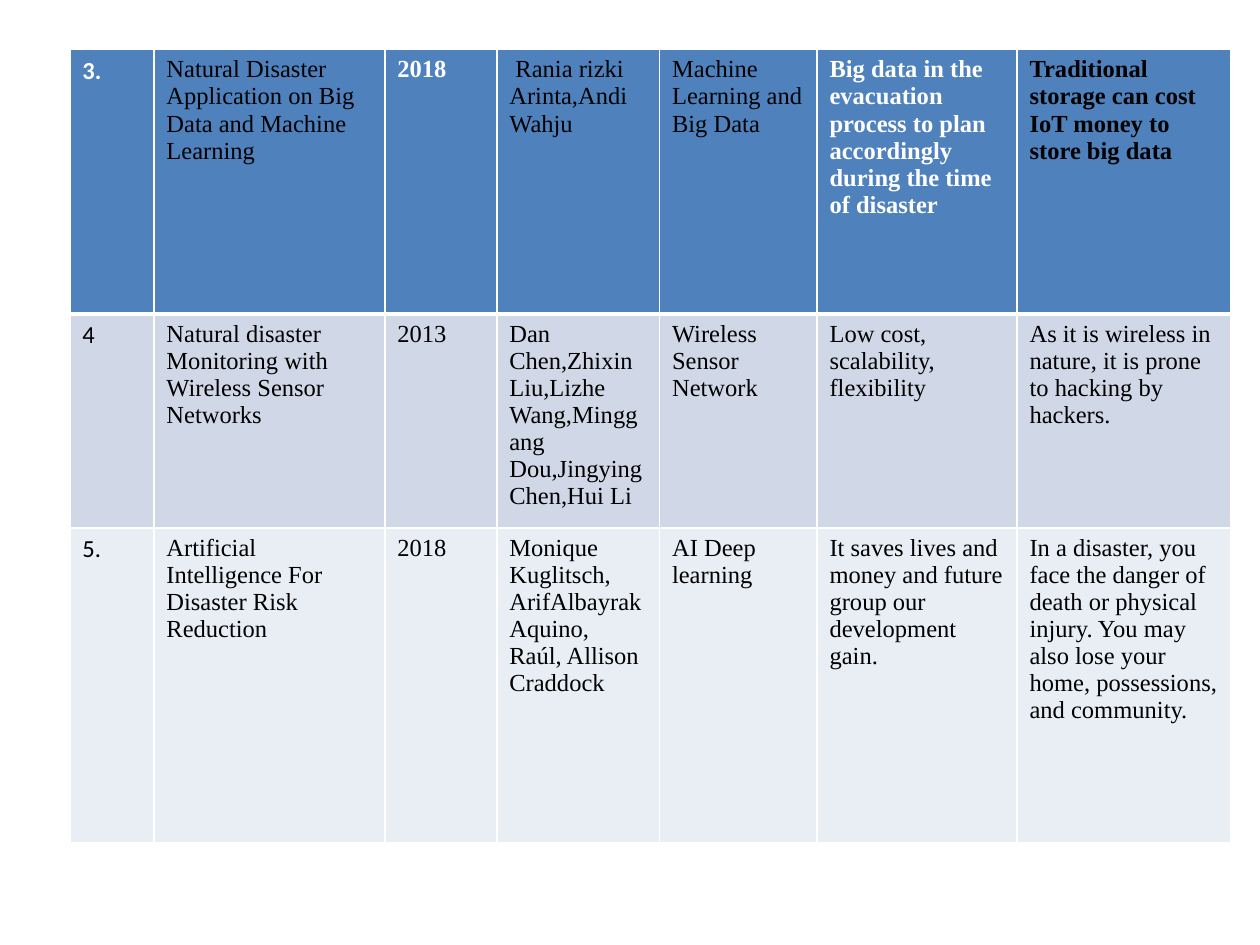
from dataclasses import dataclass

from lxml.etree import SubElement
from pptx import Presentation
from pptx.dml.color import RGBColor
from pptx.oxml.ns import qn
from pptx.table import _Cell as Cell
from pptx.util import Pt

WHITE, BLACK = "FFFFFF", "000000"
SERIF, SANS = "Times New Roman", "Calibri"
TEXT_SIZE = 14
TABLE_LEFT, TABLE_TOP = 39.9, 28.4
COLUMN_WIDTHS = [48, 132, 64, 93, 90, 114.3, 122.2]
ROW_HEIGHTS = [151, 122.4, 180]


@dataclass(frozen=True)
class Entry:
    text: str
    color: str = BLACK
    bold: bool = False
    font: str = SERIF


@dataclass(frozen=True)
class Study:
    fill: str
    bottom_border: float
    entries: list[Entry]


STUDIES = [
    Study("4F81BD", 3, [
        Entry("3.", WHITE, True, SANS),
        Entry("Natural Disaster Application on Big Data and Machine Learning"),
        Entry("2018", WHITE, True),
        Entry(" Rania rizki Arinta,Andi Wahju"),
        Entry("Machine Learning and Big Data"),
        Entry("Big data in the evacuation process to plan accordingly "
              "during the time of disaster", WHITE, True),
        Entry("Traditional storage can cost IoT money to store big data", bold=True),
    ]),
    Study("D0D8E8", 1, [
        Entry("4", font=SANS),
        Entry("Natural disaster Monitoring with Wireless Sensor Networks"),
        Entry("2013"),
        Entry("Dan Chen,Zhixin Liu,Lizhe Wang,Minggang Dou,Jingying Chen,Hui Li"),
        Entry("Wireless Sensor Network"),
        Entry("Low cost, scalability, flexibility"),
        Entry("As it is wireless in nature, it is prone to hacking by hackers."),
    ]),
    Study("E9EDF4", 1, [
        Entry("5.", font=SANS),
        Entry("Artificial Intelligence For Disaster Risk Reduction"),
        Entry("2018"),
        Entry("Monique Kuglitsch, ArifAlbayrak Aquino, Raúl, Allison Craddock"),
        Entry("AI Deep learning"),
        Entry("It saves lives and money and future group our development gain."),
        Entry("In a disaster, you face the danger of death or physical injury. "
              "You may also lose your home, possessions, and community."),
    ]),
]


def rgb(color: str) -> RGBColor:
    return RGBColor.from_string(color)


def set_borders(cell: Cell, top: float, bottom: float) -> None:
    properties = cell._tc.get_or_add_tcPr()
    widths = {"a:lnL": 1, "a:lnR": 1, "a:lnT": top, "a:lnB": bottom}
    for position, (tag, width) in enumerate(widths.items()):
        line = SubElement(properties, qn(tag), w=str(Pt(width)))
        fill = SubElement(line, qn("a:solidFill"))
        SubElement(fill, qn("a:srgbClr"), val=WHITE)
        properties.insert(position, line)


def write_entry(cell: Cell, entry: Entry) -> None:
    run = cell.text_frame.paragraphs[0].add_run()
    run.text = entry.text
    run.font.name = entry.font
    run.font.size = Pt(TEXT_SIZE)
    run.font.bold = entry.bold
    run.font.color.rgb = rgb(entry.color)


def main() -> None:
    presentation = Presentation()
    presentation.slide_width, presentation.slide_height = Pt(720), Pt(540)
    slide = presentation.slides.add_slide(presentation.slide_layouts[6])
    table = slide.shapes.add_table(
        len(STUDIES), len(COLUMN_WIDTHS), Pt(TABLE_LEFT), Pt(TABLE_TOP),
        Pt(sum(COLUMN_WIDTHS)), Pt(sum(ROW_HEIGHTS))).table
    for column, width in zip(table.columns, COLUMN_WIDTHS):
        column.width = Pt(width)
    for row, height in zip(table.rows, ROW_HEIGHTS):
        row.height = Pt(height)

    top_border = 1
    for row, study in zip(table.rows, STUDIES):
        for cell, entry in zip(row.cells, study.entries):
            cell.fill.solid()
            cell.fill.fore_color.rgb = rgb(study.fill)
            set_borders(cell, top_border, study.bottom_border)
            write_entry(cell, entry)
        top_border = study.bottom_border

    presentation.save("out.pptx")


if __name__ == "__main__":
    main()
